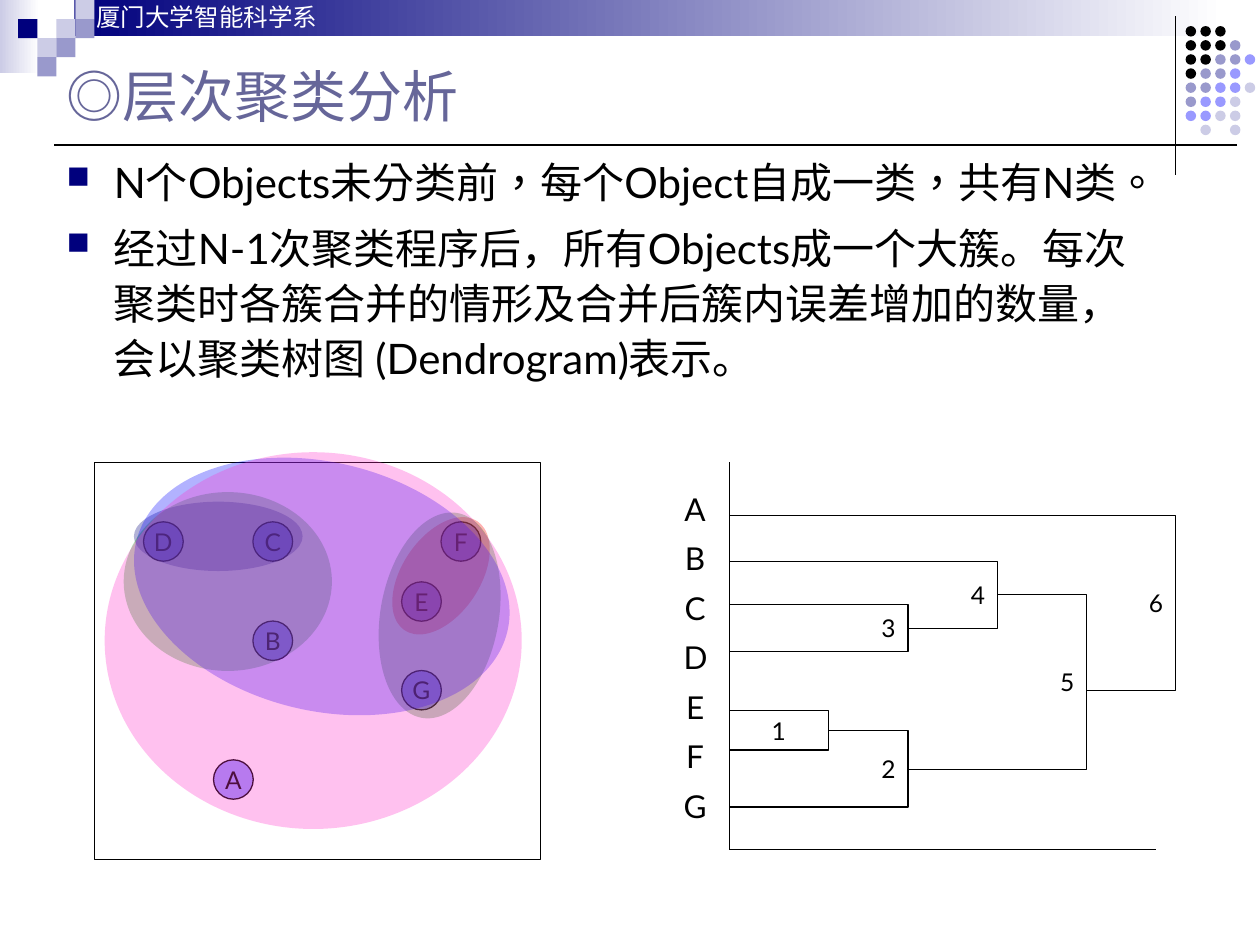
from pptx import Presentation
from pptx.dml.color import RGBColor
from pptx.enum import lang, shapes, text
from pptx.oxml import xmlchemy as x
from pptx.oxml.ns import qn
from pptx.util import Pt

C = dict(black="000000", white="FFFFFF", navy="00007D", slate="666699", pale="CCCCE6",
         mid="9999CC", bright="9999FF", red="FF0000", green="008000", leaf="009900",
         blue="0000FF", pink="FF33CC")
LATIN, CJK = "Lato", "Noto Sans CJK SC"
SHAPE, ALIGN, ANCHOR = shapes.MSO_SHAPE, text.PP_ALIGN, text.MSO_ANCHOR
ZH_CN = lang.MSO_LANGUAGE_ID.SIMPLIFIED_CHINESE
ZH_TW = lang.MSO_LANGUAGE_ID.TRADITIONAL_CHINESE


def rgb(name):
    return RGBColor.from_string(C[name])


def child(parent, tag, **attrs):
    el = parent.makeelement(qn(tag), attrs)
    parent.append(el)
    return el


def put_text(p, words, size, color="black", font=LATIN, language=None):
    r = p.add_run()
    r.text = words
    fmt = dict(size=Pt(size), name=font, language_id=language)
    for key, value in fmt.items():
        setattr(r.font, key, value)
    r.font.color.rgb = rgb(color)
    child(r.font._element, "a:ea", typeface=CJK)


def add_shape(s, kind, box, fill=None, line=None, alpha=None, rotation=0):
    sp = s.shapes.add_shape(kind, *map(Pt, box))
    sp.shadow.inherit = False
    sp.rotation = rotation
    if fill:
        sp.fill.solid()
        sp.fill.fore_color.rgb = rgb(fill)
    else:
        sp.fill.background()
    if alpha:
        color = sp.fill._xPr.find(qn("a:solidFill"))[0]
        child(color, "a:alpha", val=str(alpha * 1000))
    if line:
        sp.line.color.rgb = rgb(line)
        sp.line.width = Pt(0.75)
    else:
        sp.line.fill.background()
    return sp


def label(sp, words, align=ALIGN.CENTER):
    tf = sp.text_frame
    tf.word_wrap = False
    tf.vertical_anchor = ANCHOR.MIDDLE
    tf.paragraphs[0].alignment = align
    put_text(tf.paragraphs[0], words, 14)


def add_line(s, x1, y1, x2, y2, width=0.75):
    cn = s.shapes.add_connector(shapes.MSO_CONNECTOR.STRAIGHT, *map(Pt, (x1, y1, x2, y2)))
    cn.line.color.rgb = rgb("black")
    cn.line.width = Pt(width)
    child(cn._element.spPr, "a:effectLst")


def add_text_box(s, box, wrap=True, anchor=ANCHOR.TOP):
    tf = s.shapes.add_textbox(*map(Pt, box)).text_frame
    tf.word_wrap = wrap
    tf.vertical_anchor = anchor
    return tf


def add_fade(s, box, start):
    sp = add_shape(s, SHAPE.RECTANGLE, box)
    sp.fill.gradient()
    sp.fill.gradient_angle = 0
    for stop, color, position in zip(sp.fill.gradient_stops, (start, "white"), (0, 1)):
        stop.color.rgb = rgb(color)
        stop.position = position


def header(s, left, top, width, height):
    add_fade(s, (left, top, 22.5, 42), "pale")
    add_fade(s, (left + 42.5, top, width - 42.5, height), "navy")
    step = 10.9
    squares = [(2, 1, "pale"), (3, 0, "pale"), (3, 1, "mid"), (1, 2, "pale"),
               (0, 1, "navy"), (2, 2, "mid"), (1, 3, "mid")]
    for col, row, color in squares:
        add_shape(s, SHAPE.RECTANGLE,
                  (left + 10.4 + col * step, top + row * step, step, step), color)
    tf = add_text_box(s, (left + 48, top - 2.2, 613, 24.5))
    put_text(tf.paragraphs[0], "厦门大学智能科学系", 14, "white", CJK, ZH_CN)


def dot_pattern(s, left, top):
    colors = dict(k="black", m="mid", b="bright", p="pale")
    rows = ["kkk", "kkkm", "kkmmb", "kmmb", "mmbbp", "mbbp", "bbpp", " p p"]
    for i, row in enumerate(rows):
        for j, key in enumerate(row):
            if key in colors:
                add_shape(s, SHAPE.OVAL, (left + 8.45 * j, top + 8.05 * i, 6, 6), colors[key])


def title(s, left, top, width, height):
    tf = add_text_box(s, (left, top, width, height), anchor=ANCHOR.BOTTOM)
    put_text(tf.paragraphs[0], "◎层次聚类分析", 32, "slate", CJK, ZH_CN)


def body(s, left, top, width, height):
    tf = add_text_box(s, (left, top, width, height))
    points = [
        ("N个Objects未分类前，每个Object自成一类，共有N类。", ZH_TW),
        ("经过N-1次聚类程序后，所有Objects成一个大簇。每次聚类时各簇合并的情形及"
         "合并后簇内误差增加的数量，会以聚类树图 (Dendrogram)表示。", ZH_CN)]
    for i, (words, language) in enumerate(points):
        p = tf.add_paragraph() if i else tf.paragraphs[0]
        p.line_spacing = 1.1
        if i:
            p.space_before = Pt(6)
        pPr = p._p.get_or_add_pPr()
        pPr.set("marL", str(Pt(27)))
        pPr.set("indent", str(Pt(-27)))
        child(child(pPr, "a:buClr"), "a:srgbClr", val=C["navy"])
        child(pPr, "a:buSzPct", val="75000")
        child(pPr, "a:buChar", char="■")
        put_text(p, words, 24, language=language)


def dendrogram(s, left, top, width, height):
    """Merges are boxes that stand on the vertical axis at left."""
    merges = [("6", 30.3, 255, 100), ("5", 75.6, 204.3, 100), ("2", 153.4, 102.2, 43.6),
              ("4", 56.7, 153.4, 38.3), ("1", 141.9, 56.7, 22.5), ("3", 81.4, 102.2, 26.6)]
    for name, y, w, h in merges:
        sp = add_shape(s, SHAPE.RECTANGLE, (left, top + y, w, h), "white", "black")
        label(sp, name, ALIGN.CENTER if name == "1" else ALIGN.RIGHT)
    bottom = top + height
    add_line(s, left, bottom, left + width, bottom)
    add_line(s, left, bottom, left, top)
    tf = add_text_box(s, (left - 33.2, top + 10.1, 27.4, 201), wrap=False)
    for i, name in enumerate("ABCDEFG"):
        p = tf.add_paragraph() if i else tf.paragraphs[0]
        fmt = dict(alignment=ALIGN.CENTER, line_spacing=1.1,
                   space_before=Pt(4.5) if i else None)
        for key, value in fmt.items():
            setattr(p, key, value)
        put_text(p, name, 18)


def cluster_map(s, left, top, width, height):
    """Objects in a frame, covered by nested translucent clusters."""
    add_shape(s, SHAPE.RECTANGLE, (left, top, width, height), line="black")
    objects = dict(F=(198, 34), E=(175.5, 68.3), G=(175.5, 119), D=(28, 34),
                   C=(90.5, 34), B=(90.5, 90.7), A=(68, 170))
    for name, (x, y) in objects.items():
        label(add_shape(s, SHAPE.OVAL, (left + x, top + y, 22.7, 22.5), "bright", "black"), name)
    clusters = [("red", 175.7, 27.4, 44.6, 74.9, 33.7), ("green", 163.4, 28.1, 67.7, 118.8, 9.8),
                ("navy", 22.5, 22.5, 96.4, 39.6, 0), ("leaf", 16.7, 17, 119, 102.2, 0),
                ("blue", 59, -38.2, 141.8, 218.2, 283.8), ("pink", 5.8, -5.8, 238.3, 215.3, 0)]
    for color, x, y, w, h, angle in clusters:
        add_shape(s, SHAPE.OVAL, (left + x, top + y, w, h), color, alpha=30, rotation=angle)


def main():
    prs = Presentation()
    prs.slide_width, prs.slide_height = Pt(720), Pt(540)
    s = prs.slides.add_slide(prs.slide_layouts[6])
    header(s, 0, 0, 700, 20.4)
    add_line(s, 671.8, 9.2, 671.8, 100)
    dot_pattern(s, 677.5, 14.9)
    add_line(s, 707, 82.8, 31, 82.8, 1)
    title(s, 31, 26, 629, 51)
    body(s, 31, 82.8, 641, 442)
    dendrogram(s, 416.7, 264.2, 243.8, 221.1)
    cluster_map(s, 54, 264.2, 255, 226.8)
    prs.save("out.pptx")


if __name__ == "__main__":
    main()
